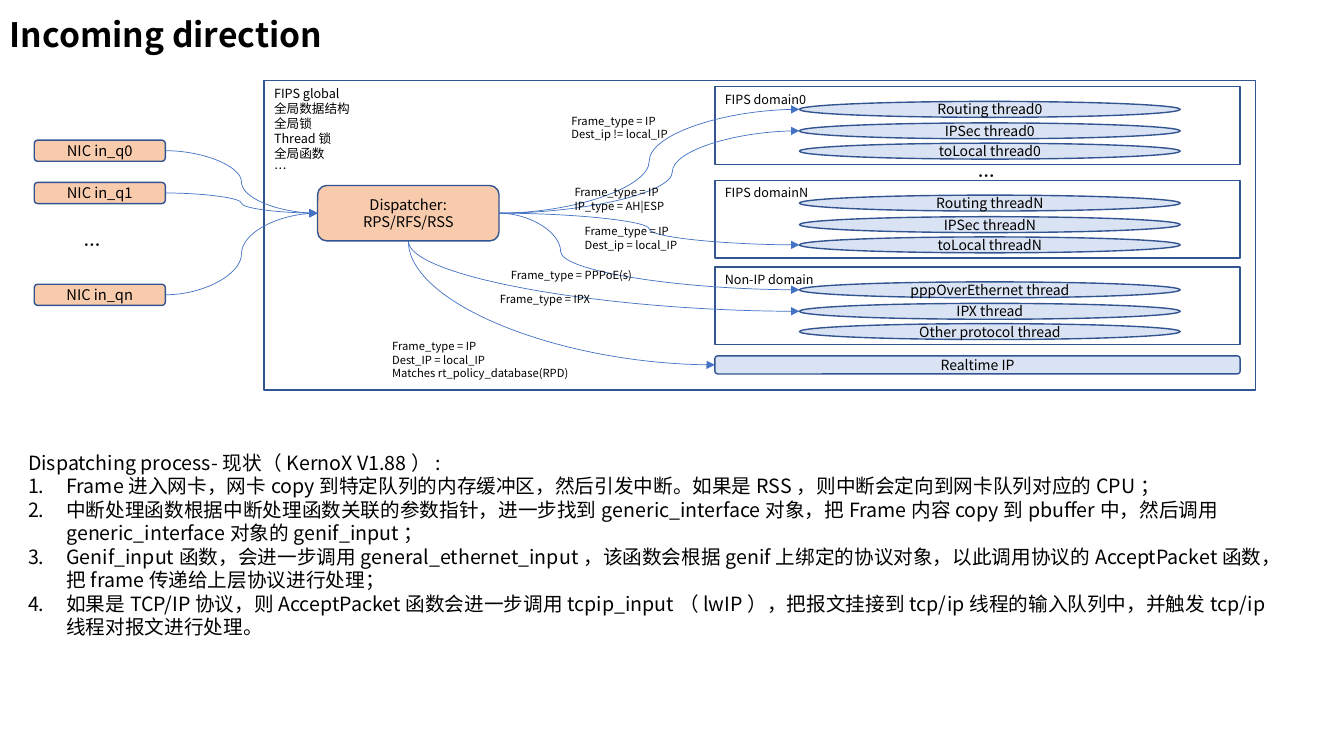
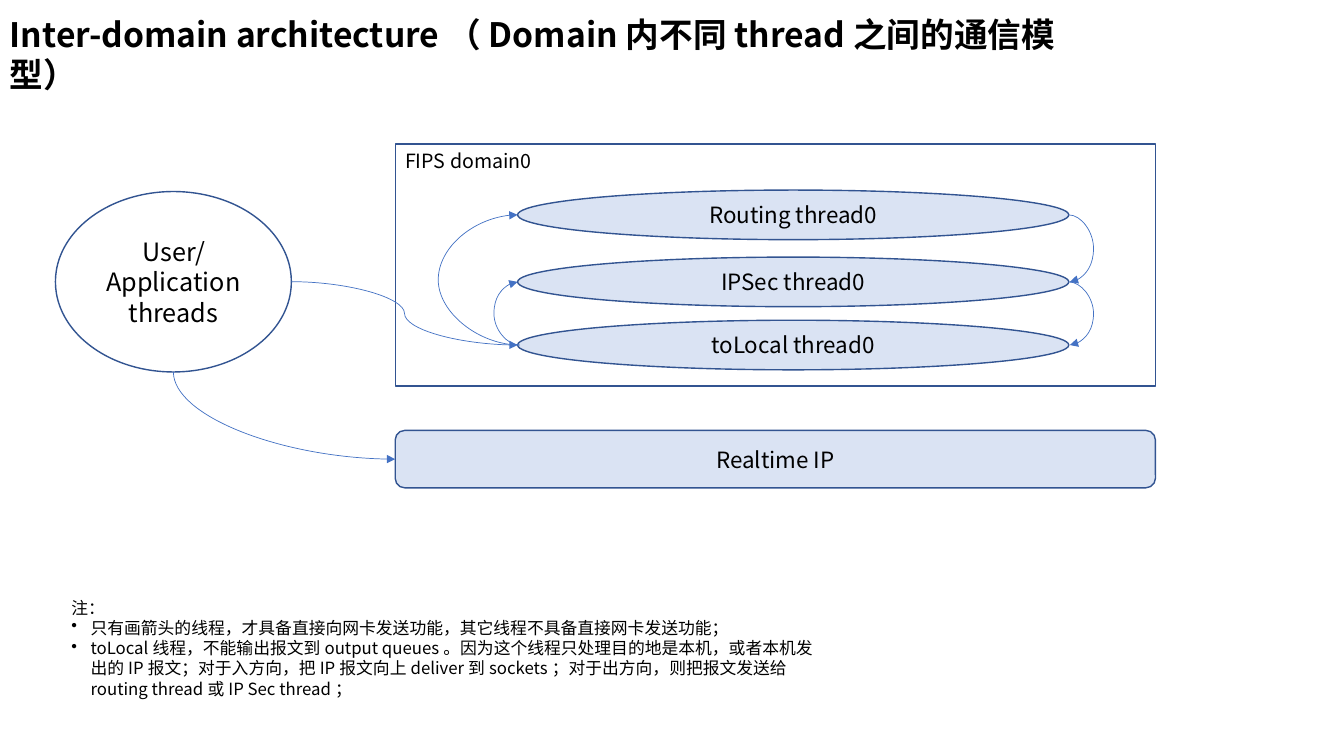
from dataclasses import dataclass

import lxml.etree
import pptx
import pptx.dml.color
import pptx.enum.shapes
import pptx.enum.text
import pptx.oxml.ns
import pptx.util
from pptx.util import Inches

SHAPES = pptx.enum.shapes.MSO_SHAPE
ALIGN = pptx.enum.text.PP_ALIGN
ANCHOR = pptx.enum.text.MSO_ANCHOR
qn = pptx.oxml.ns.qn


@dataclass(frozen=True)
class Theme:
    font: str = "Noto Sans CJK SC"
    text: str = "000000"
    outline: str = "325491"
    arrow: str = "4472C4"
    queue: str = "F8CBAD"
    thread: str = "DAE3F3"
    title_size: float = 24
    user_size: float = 18
    large_size: float = 16
    body_size: float = 14
    note_size: float = 12
    queue_size: float = 10.5
    thread_size: float = 10
    caption_size: float = 9
    label_size: float = 8
    line_height: float = 1.2


THEME = Theme()


@dataclass(frozen=True)
class Box:
    """A rectangle in inches."""
    left: float
    top: float
    width: float
    height: float

    def inside(self, left, top, width, height):
        return Box(self.left + left, self.top + top, width, height)

    def lengths(self):
        return [Inches(n) for n in (self.left, self.top, self.width, self.height)]

    def left_middle(self):
        return self.left, self.top + self.height / 2

    def right_middle(self):
        return self.left + self.width, self.top + self.height / 2

    def bottom_middle(self):
        return self.left + self.width / 2, self.top + self.height


def rgb(value):
    return pptx.dml.color.RGBColor.from_string(value)


# Text, shapes and arrows
def write(text_frame, text, size, bold=False, align=ALIGN.LEFT):
    text_frame.word_wrap = True
    text_frame.text = text
    for paragraph in text_frame.paragraphs:
        paragraph.alignment = align
        paragraph.line_spacing = pptx.util.Pt(round(size * THEME.line_height, 1))
        for run in paragraph.runs:
            run.font.size = pptx.util.Pt(size)
            run.font.bold = bold
            run.font.name = THEME.font
            run.font.color.rgb = rgb(THEME.text)
            east_asian = lxml.etree.SubElement(run.font._element, qn("a:ea"))
            east_asian.set("typeface", THEME.font)


def add_text(slide, box, text, size, bold=False):
    text_box = slide.shapes.add_textbox(*box.lengths())
    write(text_box.text_frame, text, size, bold)
    return text_box


def add_outlined(slide, kind, box, fill=None):
    shape = slide.shapes.add_shape(kind, *box.lengths())
    shape.shadow.inherit = False
    shape.line.color.rgb = rgb(THEME.outline)
    shape.line.width = pptx.util.Pt(1)
    if fill:
        shape.fill.solid()
        shape.fill.fore_color.rgb = rgb(fill)
    else:
        shape.fill.background()
    return shape


def add_node(slide, kind, box, text, size, fill=None):
    shape = add_outlined(slide, kind, box, fill)
    text_frame = shape.text_frame
    text_frame.margin_top = text_frame.margin_bottom = 0
    text_frame.vertical_anchor = ANCHOR.MIDDLE
    write(text_frame, text, size, align=ALIGN.CENTER)


def add_frame(slide, box, text, size):
    shape = add_outlined(slide, SHAPES.RECTANGLE, box)
    shape.text_frame.vertical_anchor = ANCHOR.TOP
    write(shape.text_frame, text, size)


def add_curve(slide, start, end, bend=None):
    """S-shaped arrow; bend is the x position of its turn."""
    connector = slide.shapes.add_connector(
        pptx.enum.shapes.MSO_CONNECTOR.CURVE,
        *[Inches(n) for n in (*start, *end)])
    connector.line.color.rgb = rgb(THEME.arrow)
    connector.line.width = pptx.util.Pt(0.5)
    properties = connector.element.spPr
    line = properties.find(qn("a:ln"))
    lxml.etree.SubElement(line, qn("a:tailEnd")).set("type", "triangle")
    lxml.etree.SubElement(properties, qn("a:effectLst"))
    if bend is not None:
        ratio = (bend - start[0]) / (end[0] - start[0])
        adjustments = properties.find(qn("a:prstGeom")).find(qn("a:avLst"))
        guide = lxml.etree.SubElement(adjustments, qn("a:gd"))
        guide.set("name", "adj1")
        guide.set("fmla", f"val {round(ratio * 100000)}")
    return connector


def add_quarter_curve(slide, start, end):
    """Arrow that leaves downwards and arrives from the left."""
    connector = add_curve(slide, start, end)
    across, down = end[0] - start[0], end[1] - start[1]
    connector.left = Inches(start[0] + (across - down) / 2)
    connector.top = Inches(start[1] + (down - across) / 2)
    connector.width, connector.height = Inches(down), Inches(across)
    properties = connector.element.spPr
    properties.find(qn("a:prstGeom")).set("prst", "curvedConnector2")
    transform = properties.find(qn("a:xfrm"))
    transform.set("rot", str(270 * 60000))
    transform.set("flipH", "1")


def add_list(slide, box, lines, size, indent, bullet, value):
    """A heading line followed by bulleted or numbered lines."""
    text_box = add_text(slide, box, "\n".join(lines), size)
    for paragraph in text_box.text_frame.paragraphs[1:]:
        properties = paragraph._p.get_or_add_pPr()
        properties.set("marL", str(Inches(indent)))
        properties.set("indent", str(-Inches(indent)))
        mark = lxml.etree.SubElement(properties, qn(bullet))
        mark.set("char" if bullet == "a:buChar" else "type", value)


# Parts the slides share
def add_titled_slide(presentation, title, width):
    slide = presentation.slides.add_slide(presentation.slide_layouts[6])
    add_text(slide, Box(0, 0.09, width, 0.5), title, THEME.title_size, bold=True)
    return slide


def add_domain(slide, box, name, threads, name_size, thread_size):
    """A domain frame with three threads; returns the thread boxes."""
    add_frame(slide, box, name, name_size)
    thread_boxes = []
    for thread, drop in zip(threads, (0.19, 0.467, 0.728)):
        thread_box = box.inside(0.161 * box.width, drop * box.height,
                                0.725 * box.width, 0.205 * box.height)
        add_node(slide, SHAPES.OVAL, thread_box, thread, thread_size, THEME.thread)
        thread_boxes.append(thread_box)
    return thread_boxes


def ip_threads(suffix):
    return [f"{name} thread{suffix}" for name in ("Routing", "IPSec", "toLocal")]


def add_realtime(slide, box, size):
    add_node(slide, SHAPES.ROUNDED_RECTANGLE, box, "Realtime IP", size, THEME.thread)


# Incoming direction
def add_queues(slide, box):
    queues = []
    for name, drop in (("NIC in_q0", 0), ("NIC in_q1", 0.42), ("NIC in_qn", 1.43)):
        queue = box.inside(0, drop, box.width, 0.21)
        add_node(slide, SHAPES.ROUNDED_RECTANGLE, queue, name,
                 THEME.queue_size, THEME.queue)
        queues.append(queue)
    add_text(slide, box.inside(0.39, 0.89, 0.78, 0.27), "…", THEME.note_size, bold=True)
    return queues


def add_global_area(slide, box):
    """The global frame; returns the dispatcher, the domains and the realtime box."""
    add_frame(slide, box, "FIPS global\n全局数据结构\n全局锁\nThread锁\n全局函数\n…",
              THEME.caption_size)
    dispatcher = box.inside(0.53, 1.04, 1.8, 0.55)
    add_node(slide, SHAPES.ROUNDED_RECTANGLE, dispatcher, "Dispatcher:\nRPS/RFS/RSS",
             THEME.queue_size, THEME.queue)
    other_threads = ["pppOverEthernet thread", "IPX thread", "Other protocol thread"]
    domains = [
        add_domain(slide, box.inside(4.47, drop, 5.21, 0.77), name, threads,
                   THEME.caption_size, THEME.thread_size)
        for drop, name, threads in (
            (0.06, "FIPS domain0", ip_threads("0")),
            (0.99, "FIPS domainN", ip_threads("N")),
            (1.85, "Non-IP domain", other_threads))]
    add_text(slide, box.inside(6.98, 0.8, 0.78, 0.27), "…", THEME.note_size, bold=True)
    realtime = box.inside(4.47, 2.73, 5.21, 0.18)
    add_realtime(slide, realtime, THEME.thread_size)
    return dispatcher, domains, realtime


def add_dispatch_rules(slide, box):
    """Conditions written beside the arrows."""
    for left, top, width, height, text in (
            (2.95, 0.28, 1.74, 0.33, "Frame_type = IP\nDest_ip != local_IP"),
            (2.98, 0.99, 1.74, 0.33, "Frame_type = IP\nIP_type = AH|ESP"),
            (3.08, 1.38, 1.74, 0.33, "Frame_type = IP\nDest_ip = local_IP"),
            (2.35, 1.81, 2.34, 0.21, "Frame_type = PPPoE(s)"),
            (2.24, 2.05, 2.34, 0.21, "Frame_type = IPX"),
            (1.17, 2.52, 2.82, 0.44,
             "Frame_type = IP\nDest_IP = local_IP\nMatches rt_policy_database(RPD)")):
        add_text(slide, box.inside(left, top, width, height), text, THEME.label_size)


def build_incoming(presentation):
    slide = add_titled_slide(presentation, "Incoming direction", 4.17)
    area = Box(2.62, 0.8, 9.83, 3.07)
    queues = add_queues(slide, Box(0.34, 1.39, 1.3, 1.64))
    dispatcher, (first, last, other), realtime = add_global_area(slide, area)

    # Arrows into and out of the dispatcher
    for queue in queues:
        add_curve(slide, queue.right_middle(), dispatcher.left_middle())
    for thread, bend in ((first[0], 6.44), (first[1], 6.67),
                         (last[2], 6.44), (other[0], 5.56)):
        add_curve(slide, dispatcher.right_middle(), thread.left_middle(), bend)
    for target in (other[1], realtime):
        add_quarter_curve(slide, dispatcher.bottom_middle(), target.left_middle())
    add_dispatch_rules(slide, area)

    # Process description
    add_list(slide, Box(0.18, 4.42, 12.51, 2.22), [
        "Dispatching process-现状（KernoX V1.88）:",
        "Frame进入网卡，网卡copy到特定队列的内存缓冲区，然后引发中断。"
        "如果是RSS，则中断会定向到网卡队列对应的CPU；",
        "中断处理函数根据中断处理函数关联的参数指针，进一步找到generic_interface对象，"
        "把Frame内容copy到pbuffer中，然后调用generic_interface对象的genif_input；",
        "Genif_input函数，会进一步调用general_ethernet_input，该函数会根据genif上绑定的"
        "协议对象，以此调用协议的AcceptPacket函数，把frame传递给上层协议进行处理；",
        "如果是TCP/IP协议，则AcceptPacket函数会进一步调用tcpip_input（lwIP），"
        "把报文挂接到tcp/ip线程的输入队列中，并触发tcp/ip线程对报文进行处理。",
    ], THEME.body_size, 0.38, "a:buAutoNum", "arabicPeriod")


# Inter-domain architecture
def build_architecture(presentation):
    slide = add_titled_slide(
        presentation, "Inter-domain architecture（Domain内不同thread之间的通信模型）", 10.7)
    routing, ipsec, local = add_domain(
        slide, Box(3.92, 1.43, 7.54, 2.4), "FIPS domain0", ip_threads("0"),
        THEME.body_size, THEME.large_size)
    realtime = Box(3.92, 4.27, 7.54, 0.57)
    add_realtime(slide, realtime, THEME.large_size)
    user = Box(0.55, 1.9, 2.34, 1.79)
    add_node(slide, SHAPES.OVAL, user, "User/Application threads", THEME.user_size)

    # Arrows from the user threads
    add_curve(slide, user.right_middle(), local.left_middle())
    add_quarter_curve(slide, user.bottom_middle(), realtime.left_middle())

    # Arrows between the threads
    for target, bend in ((routing, 4.35), (ipsec, 4.9)):
        x, y = local.left_middle()
        add_curve(slide, (x + 0.02, y), target.left_middle(), bend)
    for source, target in ((routing, ipsec), (ipsec, local)):
        x, y = target.right_middle()
        add_curve(slide, source.right_middle(), (x + 0.01, y), 10.85)

    # Note
    add_list(slide, Box(0.61, 5.88, 7.65, 1.11), [
        "注：",
        "只有画箭头的线程，才具备直接向网卡发送功能，其它线程不具备直接网卡发送功能；",
        "toLocal线程，不能输出报文到output queues。因为这个线程只处理目的地是本机，"
        "或者本机发出的IP报文；对于入方向，把IP报文向上deliver到sockets；"
        "对于出方向，则把报文发送给routing thread或IP Sec thread；",
    ], THEME.note_size, 0.19, "a:buChar", "•")


def main():
    presentation = pptx.Presentation()
    presentation.slide_width = Inches(13.33)
    presentation.slide_height = Inches(7.5)
    build_incoming(presentation)
    build_architecture(presentation)
    presentation.save("out.pptx")


if __name__ == "__main__":
    main()
